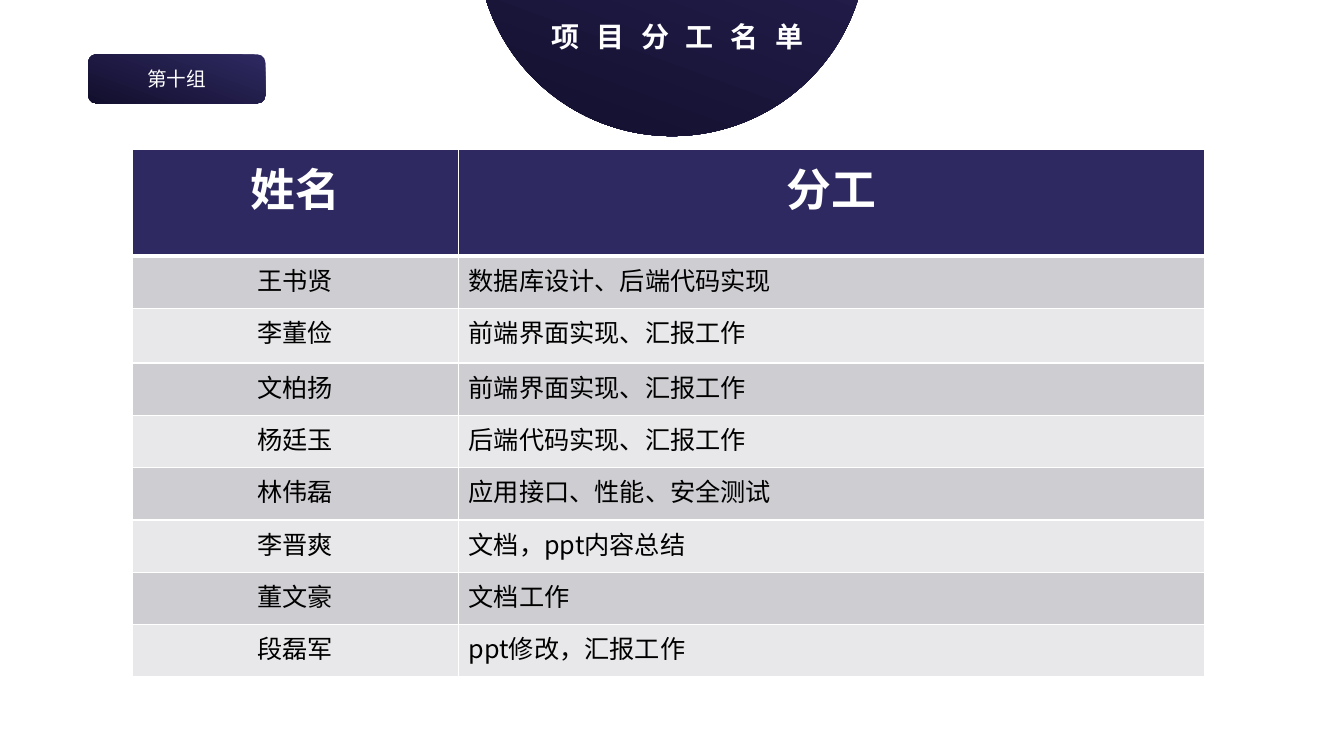
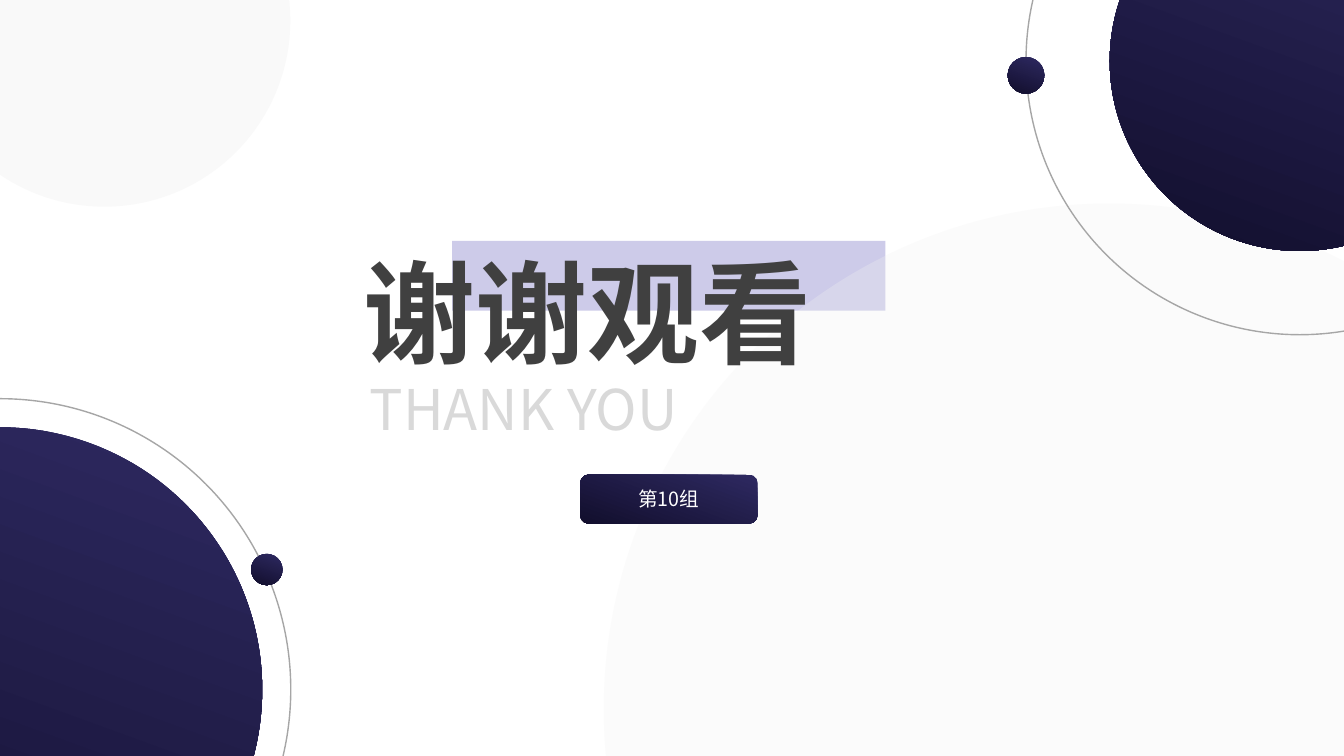
from lxml import etree
from pptx import Presentation
from pptx.dml.color import RGBColor
from pptx.enum import shapes, text
from pptx.oxml import ns
from pptx.util import Pt

FONT = "Noto Sans CJK SC"
NAVY, NIGHT, WHITE, BLACK = "2E2961", "120F2D", "FFFFFF", "000000"
LILAC, MIST, RING_GREY = "CDCBE9", "F2F2F2", "A6A6A6"
TITLE_GREY, SUBTITLE_GREY = "404040", "D9D9D9"
BANDS = ("CDCDD2", "E8E8EA")
CENTER, JUSTIFY, LEFT = text.PP_ALIGN.CENTER, text.PP_ALIGN.JUSTIFY, text.PP_ALIGN.LEFT
OVAL = shapes.MSO_SHAPE.OVAL

MEMBERS = [
    ("王书贤", "数据库设计、后端代码实现"),
    ("李董俭", "前端界面实现、汇报工作"),
    ("文柏扬", "前端界面实现、汇报工作"),
    ("杨廷玉", "后端代码实现、汇报工作"),
    ("林伟磊", "应用接口、性能、安全测试"),
    ("李晋爽", "文档，ppt内容总结"),
    ("董文豪", "文档工作"),
    ("段磊军", "ppt修改，汇报工作"),
]


def rgb(color):
    return RGBColor.from_string(color)


def write(frame, words, size, color, bold=False, align=LEFT, spacing=0):
    paragraph = frame.paragraphs[0]
    paragraph.alignment = align
    run = paragraph.add_run()
    run.text = words
    font = run.font
    font.name, font.size, font.bold = FONT, Pt(size), bold
    font.color.rgb = rgb(color)
    properties = run._r.get_or_add_rPr()
    etree.SubElement(properties, ns.qn("a:ea"), typeface=FONT)
    if spacing:
        properties.set("spc", str(spacing * 100))


def add_figure(slide, kind, left, top, width, height, fill=None, line=None, opacity=100):
    """Add a preset shape; fill is a hex colour, a pair for a gradient, or None."""
    figure = slide.shapes.add_shape(kind, Pt(left), Pt(top), Pt(width), Pt(height))
    figure.shadow.inherit = False
    if fill is None:
        figure.fill.background()
    elif isinstance(fill, tuple):
        figure.fill.gradient()
        figure.fill.gradient_angle = 250
        for stop, color in zip(figure.fill.gradient_stops, fill):
            stop.color.rgb = rgb(color)
    else:
        figure.fill.solid()
        figure.fill.fore_color.rgb = rgb(fill)
        if opacity < 100:
            solid = figure._element.spPr.find(ns.qn("a:solidFill"))
            etree.SubElement(solid[0], ns.qn("a:alpha"), val=str(opacity * 1000))
    if line:
        figure.line.color.rgb = rgb(line)
        figure.line.width = Pt(1)
    else:
        figure.line.fill.background()
    return figure


def add_circle(slide, x, y, diameter, **look):
    """Add a circle around the centre x, y."""
    return add_figure(slide, OVAL, x - diameter / 2, y - diameter / 2, diameter, diameter, **look)


def add_disk(slide, x, y, diameter):
    add_circle(slide, x, y, diameter, fill=(NAVY, NIGHT))


def add_orbit(slide, x, y, disk, ring, moon):
    """Add a disk inside a thin ring; moon is the centre and size of a dot on the ring."""
    add_disk(slide, x, y, disk)
    add_circle(slide, x, y, ring, line=RING_GREY)
    add_disk(slide, *moon)


def add_group_badge(slide, left, top, words):
    badge = add_figure(slide, shapes.MSO_SHAPE.ROUNDED_RECTANGLE, left, top, 126.6, 35,
                       fill=(NAVY, NIGHT))
    badge.text_frame.vertical_anchor = text.MSO_ANCHOR.MIDDLE
    write(badge.text_frame, words, 14, WHITE, align=CENTER)


def add_label(slide, left, top, width, height, wrap=True):
    frame = slide.shapes.add_textbox(Pt(left), Pt(top), Pt(width), Pt(height)).text_frame
    frame.word_wrap = wrap
    if wrap:
        frame.auto_size = text.MSO_AUTO_SIZE.SHAPE_TO_FIT_TEXT
    else:
        frame.margin_left = frame.margin_top = frame.margin_right = frame.margin_bottom = 0
    return frame


def add_title_dome(slide, x, title):
    add_disk(slide, x, -42.1, 278.6)
    frame = add_label(slide, x + 4 - 157.3, 13.7, 314.6, 36.7, wrap=False)
    write(frame, title, 20, WHITE, bold=True, align=CENTER, spacing=12)


def set_borders(cell, top, bottom):
    properties = cell._tc.get_or_add_tcPr()
    widths = {"lnL": 1, "lnR": 1, "lnT": top, "lnB": bottom}
    for place, (side, width) in enumerate(widths.items()):
        border = etree.Element(ns.qn("a:" + side), w=str(Pt(width)))
        solid = etree.SubElement(border, ns.qn("a:solidFill"))
        etree.SubElement(solid, ns.qn("a:srgbClr"), val=WHITE)
        properties.insert(place, border)


def add_duty_table(slide, left, top, width, height):
    rows = [("姓名", "分工")] + MEMBERS
    table = slide.shapes.add_table(len(rows), 2, Pt(left), Pt(top), Pt(width), Pt(height)).table
    table.horz_banding = False
    name_width, header_height, tall_height = 233.3, 76.3, 39
    body_height = (height - header_height - tall_height) / (len(MEMBERS) - 1)
    table.columns[0].width = Pt(name_width)
    table.columns[1].width = Pt(width - name_width)
    for r, row in enumerate(rows):
        table.rows[r].height = Pt({0: header_height, 2: tall_height}.get(r, body_height))
        for c, words in enumerate(row):
            cell = table.cell(r, c)
            cell.fill.solid()
            cell.fill.fore_color.rgb = rgb(BANDS[(r - 1) % 2] if r else NAVY)
            set_borders(cell, top=3 if r == 1 else 1, bottom=1 if r else 3)
            if r:
                write(cell.text_frame, words, 18, BLACK, align=LEFT if c else CENTER)
            else:
                write(cell.text_frame, words, 32, WHITE, bold=True, align=CENTER)


def build_duties(slide):
    add_title_dome(slide, 480, "项目分工名单")
    add_duty_table(slide, 94.3, 106.6, 766, 377.1)
    add_group_badge(slide, 63, 38.8, "第十组")


def build_thanks(slide):
    add_figure(slide, shapes.MSO_SHAPE.RECTANGLE, 323, 172, 309.5, 50, fill=LILAC)
    add_circle(slide, 792.4, 506.5, 722.2, fill=MIST, opacity=29)
    add_orbit(slide, 0, 492.5, disk=374.6, ring=415.4, moon=(190.6, 406.8, 22.4))
    write(add_label(slide, 252.7, 170.6, 450, 104.4), "谢谢观看", 80, TITLE_GREY,
          bold=True, align=JUSTIFY)
    write(add_label(slide, 257, 264.2, 445.7, 55.4), "THANK YOU", 40, SUBTITLE_GREY,
          align=JUSTIFY)
    add_group_badge(slide, 414.5, 339, "第10组")
    add_orbit(slide, 928.4, 43.6, disk=271.4, ring=391, moon=(732.9, 53.8, 26.2))
    add_circle(slide, 74.5, 14.8, 265.7, fill=MIST, opacity=44)


def main():
    deck = Presentation()
    deck.slide_width, deck.slide_height = Pt(960), Pt(540)
    for build in (build_duties, build_thanks):
        build(deck.slides.add_slide(deck.slide_layouts[6]))
    deck.save("out.pptx")


if __name__ == "__main__":
    main()
